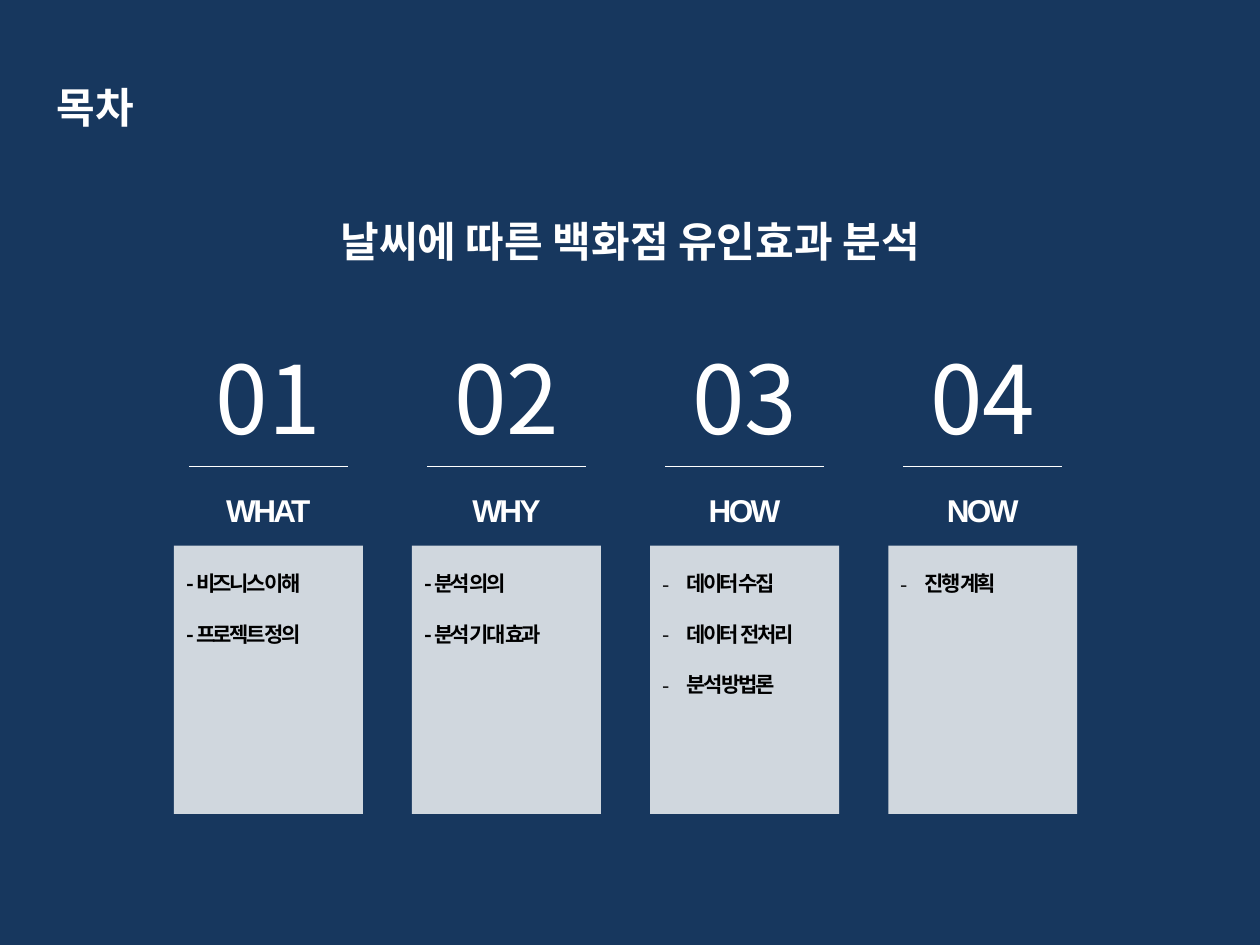
import pptx
import pptx.dml.color
import pptx.enum.shapes
import pptx.enum.text
import pptx.oxml
import pptx.oxml.ns
import pptx.util
from pptx.util import Inches

NOTO = "Noto Sans CJK KR"
WHITE = "FFFFFF"
NAVY = "17375E"
BLACK = "000000"
LEFT, STEP, WIDTH = 1.38, 1.89, 1.5
RULE = 1.26
INDENT = 0.19

# number, heading, items, whether the dashes are bullets
PARTS = [
    ("01", "WHAT", ["- 비즈니스 이해", "- 프로젝트 정의"], False),
    ("02", "WHY", ["- 분석 의의", "- 분석 기대 효과"], False),
    ("03", "HOW", ["데이터 수집", "데이터  전처리", "분석 방법론"], True),
    ("04", "NOW", ["진행 계획"], True),
]


def color(code):
    return pptx.dml.color.RGBColor.from_string(code)


def add_xml(parent, tag, **attrs):
    node = pptx.oxml.parse_xml(f"<a:{tag} {pptx.oxml.ns.nsdecls('a')}/>")
    for name, value in attrs.items():
        node.set(name, str(value))
    parent.append(node)
    return node


def add_text(shapes, lines, box, size, font=NOTO, ink=WHITE, bold=False,
             center=False, track=0, gap=0, bullet=False):
    """Add one paragraph per line; track and gap are in points."""
    frame = shapes.add_textbox(*map(Inches, box)).text_frame
    frame.word_wrap = True
    for i, line in enumerate(lines):
        para = frame.paragraphs[0] if i == 0 else frame.add_paragraph()
        if center:
            para.alignment = pptx.enum.text.PP_ALIGN.CENTER
        if font == NOTO:
            para.line_spacing = pptx.util.Pt(size * 1.2)
        if i:
            para.space_before = pptx.util.Pt(gap)
        if bullet:
            props = para._p.get_or_add_pPr()
            props.set("marL", str(Inches(INDENT)))
            props.set("indent", str(-Inches(INDENT)))
            add_xml(props, "buFont", typeface=NOTO)
            add_xml(props, "buChar", char="-")
        run = para.add_run()
        run.text = line
        run.font.size = pptx.util.Pt(size)
        run.font.bold = bold
        run.font.name = font
        run.font.color.rgb = color(ink)
        props = run._r.get_or_add_rPr()
        add_xml(props, "ea", typeface=font)
        if track:
            props.set("spc", str(int(track * 100)))


def add_panel(shapes, box):
    panel = shapes.add_shape(pptx.enum.shapes.MSO_SHAPE.RECTANGLE,
                             *map(Inches, box))
    panel.shadow.inherit = False
    panel.line.fill.background()
    panel.fill.solid()
    panel.fill.fore_color.rgb = color(WHITE)
    fill = panel._element.spPr.find(pptx.oxml.ns.qn("a:solidFill"))
    add_xml(fill[0], "alpha", val=80000)


def add_rule(shapes, x, y):
    rule = shapes.add_connector(pptx.enum.shapes.MSO_CONNECTOR.STRAIGHT,
                                *map(Inches, (x, y, x + RULE, y)))
    rule.line.color.rgb = color(WHITE)
    rule.line.width = pptx.util.Pt(0.75)
    add_xml(rule._element.spPr, "effectLst")


def add_part(slide, x, number, head, items, bullet):
    shapes = slide.shapes.add_group_shape().shapes
    inset = (WIDTH - RULE) / 2
    add_panel(shapes, (x, 4.33, WIDTH, 2.13))
    add_text(shapes, [number], (x + inset, 2.65, RULE, 1.01), 54, center=True)
    add_rule(shapes, x + inset, 3.7)
    add_text(shapes, [head], (x, 3.85, WIDTH, 0.4), 18, font="Arial",
             bold=True, center=True, track=-1.5)
    add_text(shapes, items, (x, 4.48, WIDTH, 0.1 + 0.4 * len(items)), 12,
             ink=BLACK, bold=True, track=-1.5, gap=14.4, bullet=bullet)


def main():
    deck = pptx.Presentation()
    deck.slide_width, deck.slide_height = Inches(10), Inches(7.5)
    slide = deck.slides.add_slide(deck.slide_layouts[6])
    slide.background.fill.solid()
    slide.background.fill.fore_color.rgb = color(NAVY)
    add_text(slide.shapes, ["목차"], (0.35, 0.6, 4.57, 0.5), 24, bold=True)
    add_text(slide.shapes, ["날씨에 따른 백화점 유인효과 분석"],
             (1.94, 1.66, 6.12, 0.5), 24, bold=True, center=True)
    for i, part in enumerate(PARTS):
        add_part(slide, LEFT + i * STEP, *part)
    deck.save("out.pptx")


if __name__ == "__main__":
    main()
